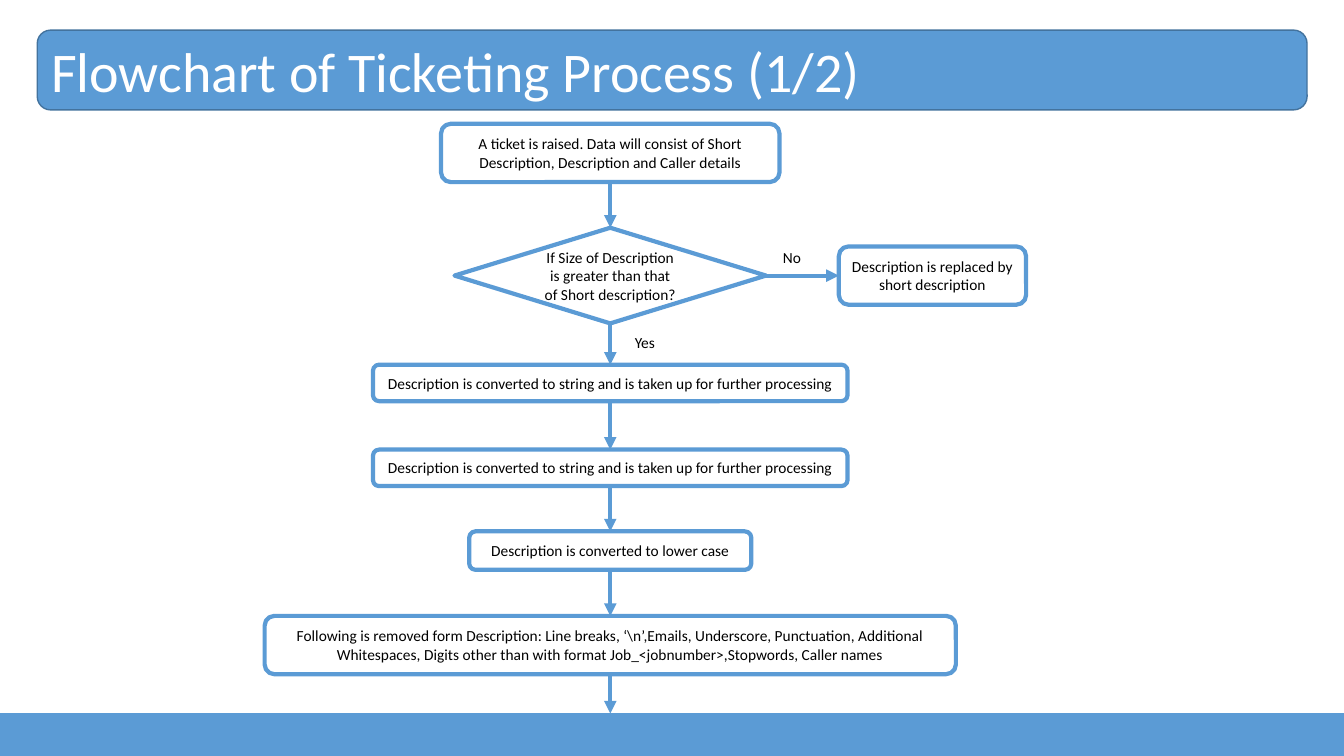
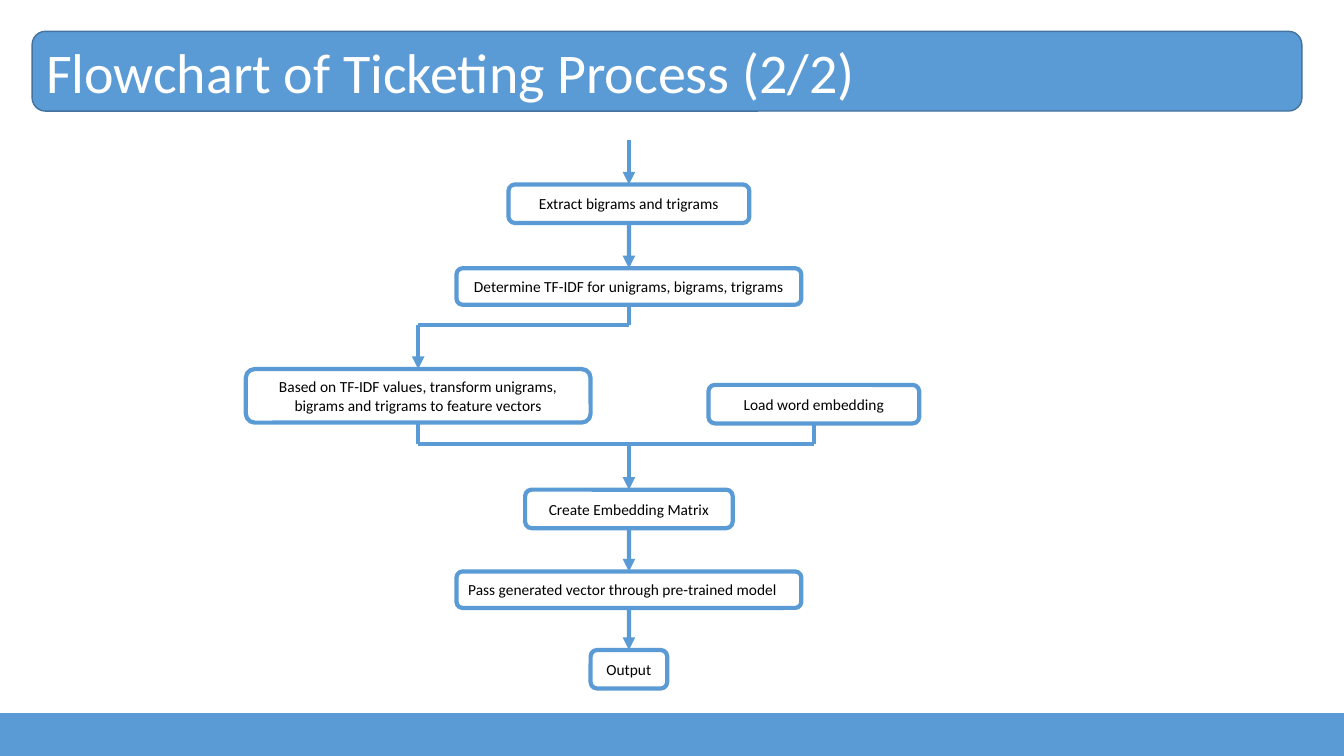
import itertools

import lxml.etree
import pptx
import pptx.dml.color
import pptx.enum.shapes
import pptx.enum.text
import pptx.oxml.ns
import pptx.util

Cm = pptx.util.Cm
Pt = pptx.util.Pt
SHAPE = pptx.enum.shapes.MSO_SHAPE
ALIGN = pptx.enum.text.PP_ALIGN
ANCHOR = pptx.enum.text.MSO_ANCHOR
qn = pptx.oxml.ns.qn

COLORS = {"blue": "5B9BD5", "edge": "43739E", "white": "FFFFFF", "black": "000000"}
FONT = "Calibri"
SLIDE_W, SLIDE_H = 33.87, 19.05
FOOTER_TOP = 17.98
BAND_W, BAND_H = 32, 2.01
LABEL_W, LABEL_H = 1.65, 0.74
AXIS_1, AXIS_2 = 15.38, 15.85
LEFT_X, RIGHT_X = 10.54, 20.51
SPLIT_Y, MERGE_Y = 8.2, 11.18
CONVERTED = "Description is converted to string and is taken up for further processing"

# Each node: text, centre x, top, width, height
SLIDES = [
    {
        "title": "Flowchart of Ticketing Process (1/2)",
        "band": (0.94, 0.76),
        "nodes": {
            "raised": ("A ticket is raised. Data will consist of Short Description, "
                       "Description and Caller details", AXIS_1, 3.12, 8.53, 1.47),
            "decision": ("If Size of Description is greater than that of Short description?",
                         AXIS_1, 5.74, 7.85, 2.41),
            "replaced": ("Description is replaced by short description", 23.5, 6.21, 4.72, 1.47),
            "string": (CONVERTED, AXIS_1, 9.19, 11.96, 0.92),
            "string again": (CONVERTED, AXIS_1, 11.33, 11.96, 0.92),
            "lower": ("Description is converted to lower case", AXIS_1, 13.39, 7.11, 0.97),
            "removed": ("Following is removed form Description: Line breaks, ‘\\n’,Emails, "
                        "Underscore, Punctuation, Additional Whitespaces, Digits other than "
                        "with format Job_<jobnumber>,Stopwords, Caller names",
                        AXIS_1, 15.52, 17.42, 1.47),
        },
        "links": [("raised", "decision"), ("decision", "string"), ("string", "string again"),
                  ("string again", "lower"), ("lower", "removed")],
        "side_links": [("decision", "replaced")],
        "routes": [([(AXIS_1, 16.99), (AXIS_1, FOOTER_TOP)], True)],
        "labels": [("No", 19.48, 6.12), ("Yes", 15.75, 8.28)],
    },
    {
        "title": "Flowchart of Ticketing Process (2/2)",
        "band": (0.81, 0.79),
        "nodes": {
            "extract": ("Extract bigrams and trigrams", AXIS_2, 4.65, 6.07, 0.97),
            "tfidf": ("Determine TF-IDF for unigrams, bigrams, trigrams",
                      AXIS_2, 6.76, 8.69, 0.92),
            "vectors": ("Based on TF-IDF values, transform unigrams, bigrams and trigrams "
                        "to feature vectors", LEFT_X, 9.3, 8.69, 1.35),
            "load": ("Load word embedding", RIGHT_X, 9.7, 5.31, 0.97),
            "matrix": ("Create Embedding Matrix", AXIS_2, 12.34, 5.23, 0.97),
            "model": ("Pass generated vector through pre-trained model",
                      AXIS_2, 14.4, 8.69, 0.92),
            "output": ("Output", AXIS_2, 16.38, 1.93, 0.97),
        },
        "links": [("extract", "tfidf"), ("matrix", "model"), ("model", "output")],
        "side_links": [],
        "routes": [
            ([(AXIS_2, 3.53), (AXIS_2, 4.65)], True),
            ([(AXIS_2, 7.68), (AXIS_2, SPLIT_Y), (LEFT_X, SPLIT_Y), (LEFT_X, 9.3)], True),
            ([(LEFT_X, 10.65), (LEFT_X, MERGE_Y), (RIGHT_X, MERGE_Y), (RIGHT_X, 10.67)], False),
            ([(AXIS_2, MERGE_Y), (AXIS_2, 12.34)], True),
        ],
        "labels": [],
    },
]
NODE_SHAPES = {"decision": SHAPE.FLOWCHART_DECISION}
NODE_ALIGNS = {"model": ALIGN.LEFT}


def rgb(name):
    return pptx.dml.color.RGBColor.from_string(COLORS[name])


def write(sp, text, size=11, color="black", align=ALIGN.LEFT, anchor=ANCHOR.MIDDLE):
    tf = sp.text_frame
    tf.word_wrap = True
    tf.vertical_anchor = anchor
    p = tf.paragraphs[0]
    p.alignment = align
    r = p.add_run()
    r.text = text
    r.font.name = FONT
    r.font.size = Pt(size)
    r.font.color.rgb = rgb(color)


def add_box(s, shape, left, top, width, height, fill="white", line="blue", weight=3):
    sp = s.shapes.add_shape(shape, Cm(left), Cm(top), Cm(width), Cm(height))
    sp.shadow.inherit = False
    sp.fill.solid()
    sp.fill.fore_color.rgb = rgb(fill)
    sp.line.color.rgb = rgb(line)
    sp.line.width = Pt(weight)
    return sp


def add_line(s, start=(0, 0), end=(0, 0), arrow=True):
    cx = s.shapes.add_connector(pptx.enum.shapes.MSO_CONNECTOR.STRAIGHT,
                                *(Cm(v) for v in (*start, *end)))
    cx.line.color.rgb = rgb("blue")
    cx.line.width = Pt(3)
    if arrow:
        lxml.etree.SubElement(cx.line._get_or_add_ln(), qn("a:tailEnd"), type="triangle")
    lxml.etree.SubElement(cx.element.spPr, qn("a:effectLst"))
    return cx


def add_link(s, source, target, source_site=2, target_site=0):
    cx = add_line(s)
    cx.begin_connect(source, source_site)
    cx.end_connect(target, target_site)


def add_title(s, text, left, top):
    band = add_box(s, SHAPE.ROUNDED_RECTANGLE, left, top, BAND_W, BAND_H,
                   fill="blue", line="edge", weight=1)
    title = s.shapes.title
    title.element.addprevious(band.element)
    title.left, title.top, title.width, title.height = (
        Cm(v) for v in (left, top, BAND_W, BAND_H))
    title.text_frame.auto_size = pptx.enum.text.MSO_AUTO_SIZE.NONE
    title.text_frame.margin_left = Cm(0.35)
    write(title, text, size=40, color="white")


def build_slide(prs, data):
    s = prs.slides.add_slide(prs.slide_layouts[5])
    add_title(s, data["title"], *data["band"])
    nodes = {}
    for key, (text, center, top, width, height) in data["nodes"].items():
        shape = NODE_SHAPES.get(key, SHAPE.ROUNDED_RECTANGLE)
        nodes[key] = add_box(s, shape, center - width / 2, top, width, height)
        write(nodes[key], text, align=NODE_ALIGNS.get(key, ALIGN.CENTER))
    for source, target in data["links"]:
        add_link(s, nodes[source], nodes[target])
    for source, target in data["side_links"]:
        add_link(s, nodes[source], nodes[target], source_site=3, target_site=1)
    for points, arrow in data["routes"]:
        for start, end in itertools.pairwise(points):
            add_line(s, start, end, arrow=arrow and end == points[-1])
    for text, left, top in data["labels"]:
        tb = s.shapes.add_textbox(Cm(left), Cm(top), Cm(LABEL_W), Cm(LABEL_H))
        write(tb, text, anchor=ANCHOR.TOP)
    add_box(s, SHAPE.RECTANGLE, 0, FOOTER_TOP, SLIDE_W, SLIDE_H - FOOTER_TOP,
            fill="blue", weight=1)


def main():
    prs = pptx.Presentation()
    prs.slide_width, prs.slide_height = Cm(SLIDE_W), Cm(SLIDE_H)
    for data in SLIDES:
        build_slide(prs, data)
    prs.save("out.pptx")


if __name__ == "__main__":
    main()
